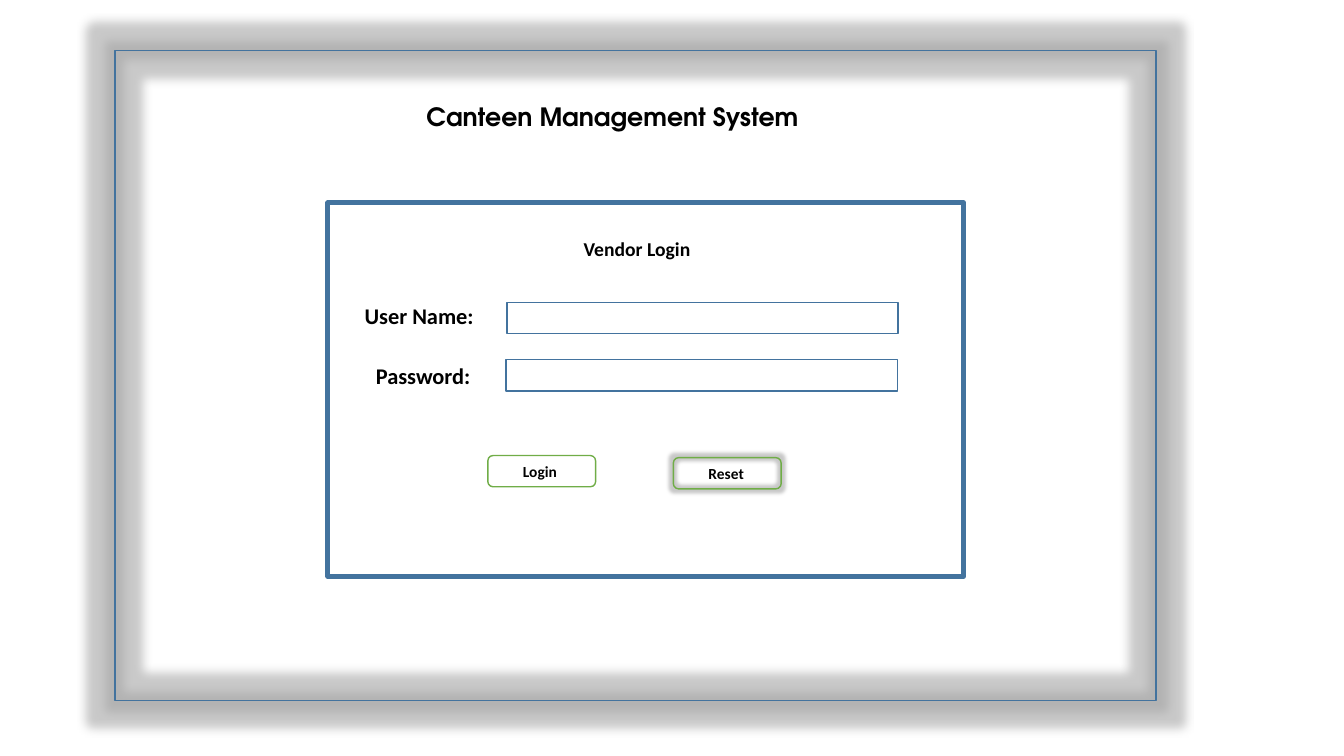
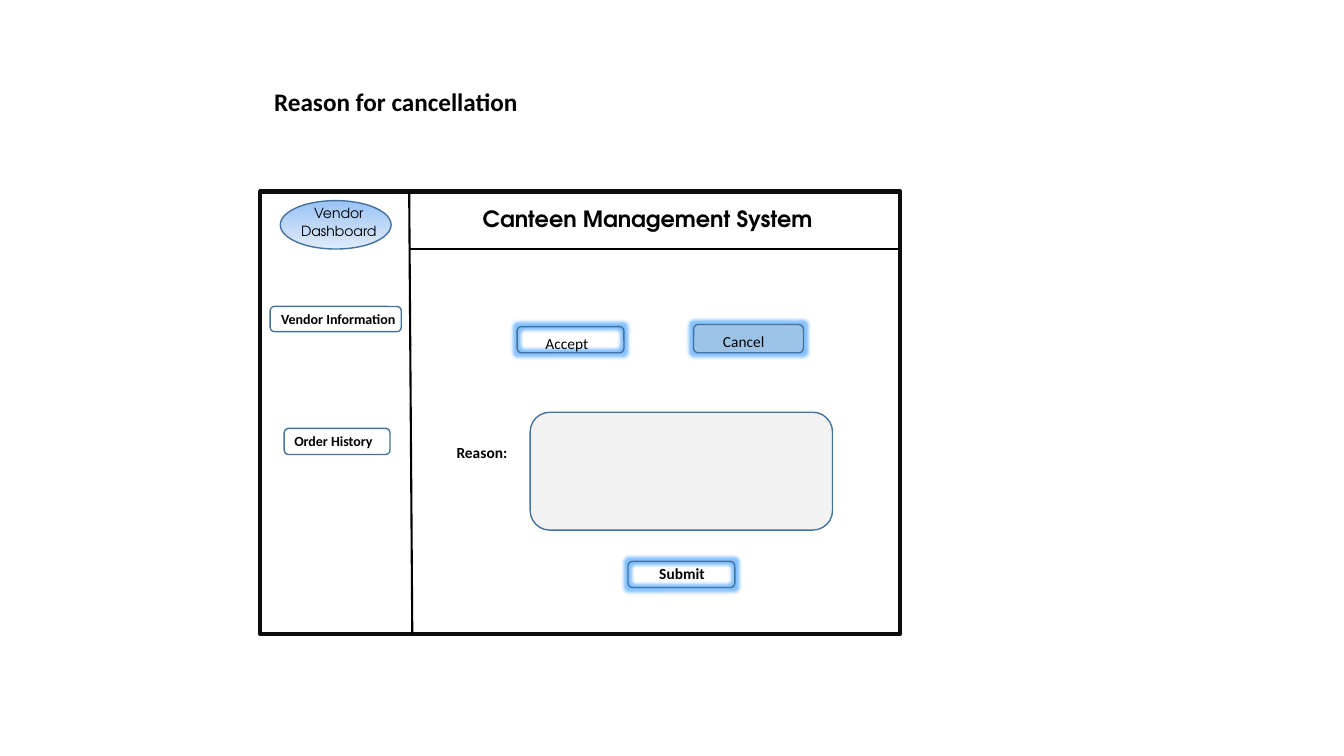
"""Build the login and cancellation wireframes of a canteen management system."""
from dataclasses import dataclass
from typing import Optional

from lxml import etree
from pptx import Presentation
from pptx.dml.color import RGBColor
from pptx.enum.shapes import MSO_CONNECTOR, MSO_SHAPE
from pptx.enum.text import MSO_ANCHOR, MSO_AUTO_SIZE, PP_ALIGN
from pptx.oxml.ns import qn
from pptx.util import Pt

RECTANGLE = MSO_SHAPE.RECTANGLE
ROUNDED = MSO_SHAPE.ROUNDED_RECTANGLE
OVAL = MSO_SHAPE.OVAL
STRAIGHT = MSO_CONNECTOR.STRAIGHT
TOP = MSO_ANCHOR.TOP
LEFT = PP_ALIGN.LEFT
CENTER = PP_ALIGN.CENTER
NO_AUTOFIT = MSO_AUTO_SIZE.NONE

COLORS = {
    "black": "000000",
    "border": "0D0D0D",
    "blue": "43739E",
    "green": "70AD47",
    "white": "FFFFFF",
    "pressed": "9DC3E6",
    "field": "F2F2F2",
    "gray_glow": "A5A5A5",
    "blue_glow": "3399FF",
    "oval_top": "9AC3F5",
    "oval_bottom": "E1EBFB",
}
BODY_FONT = "Calibri"
BRAND_FONT = "TeX Gyre Adventor"
SYSTEM_NAME = "Canteen Management System"
LINE_SPACING = 1.06
INSET_X, INSET_Y = 7.2, 3.6
TITLE_ONLY = 5


@dataclass(frozen=True)
class Style:
    size: float
    bold: bool = True
    font: str = BODY_FONT
    align: PP_ALIGN = LEFT


@dataclass(frozen=True)
class Label:
    text: str
    left: float
    top: float
    width: float
    height: float
    style: Style


@dataclass(frozen=True)
class Panel:
    left: float
    top: float
    width: float
    height: float
    line: str = "blue"
    weight: float = 1
    kind: MSO_SHAPE = RECTANGLE
    fill: Optional[str] = None
    glow: Optional[str] = None
    radius: float = 5


@dataclass(frozen=True)
class Button:
    panel: Panel
    text: str
    style: Style
    inset_left: float
    inset_top: float


TITLE = Style(18)
BRAND_TITLE = Style(18, font=BRAND_FONT)
BRAND_HEADING = Style(16, font=BRAND_FONT)
DASHBOARD = Style(10, False, BRAND_FONT, CENTER)
FORM_HEADING = Style(14, align=CENTER)
FIELD_NAME = Style(16)
MENU = Style(10)
ACTION = Style(11)
CHOICE = Style(11, False)


def color(name: str) -> RGBColor:
    return RGBColor.from_string(COLORS[name])


def write(box, text: str, style: Style, left: float = INSET_X,
          top: float = INSET_Y, right: float = INSET_X, bottom: float = INSET_Y) -> None:
    frame = box.text_frame
    frame.word_wrap = True
    frame.auto_size = NO_AUTOFIT
    frame.vertical_anchor = TOP
    frame.margin_left, frame.margin_top = Pt(left), Pt(top)
    frame.margin_right, frame.margin_bottom = Pt(right), Pt(bottom)
    para = frame.paragraphs[0]
    para.text = text
    para.alignment = style.align
    para.line_spacing = LINE_SPACING
    para.font.name = style.font
    para.font.size = Pt(style.size)
    para.font.bold = style.bold
    para.font.color.rgb = color("black")


def add_page(deck, title: Label):
    page = deck.slides.add_slide(deck.slide_layouts[TITLE_ONLY])
    box = page.shapes.title
    box.left, box.top = Pt(title.left), Pt(title.top)
    box.width, box.height = Pt(title.width), Pt(title.height)
    write(box, title.text, title.style)
    return page


def add_label(page, label: Label) -> None:
    box = page.shapes.add_textbox(Pt(label.left), Pt(label.top),
                                  Pt(label.width), Pt(label.height))
    write(box, label.text, label.style)


def add_panel(page, panel: Panel):
    box = page.shapes.add_shape(panel.kind, Pt(panel.left), Pt(panel.top),
                                Pt(panel.width), Pt(panel.height))
    box.shadow.inherit = False
    box.line.color.rgb = color(panel.line)
    box.line.width = Pt(panel.weight)
    if panel.fill:
        box.fill.solid()
        box.fill.fore_color.rgb = color(panel.fill)
    else:
        box.fill.background()
    if panel.glow:
        effects = box._element.spPr.find(qn("a:effectLst"))
        glow = etree.SubElement(effects, qn("a:glow"), rad=str(Pt(panel.radius)))
        tint = etree.SubElement(glow, qn("a:srgbClr"), val=COLORS[panel.glow])
        etree.SubElement(tint, qn("a:alpha"), val="60000")
    return box


def add_button(page, button: Button) -> None:
    box = add_panel(page, button.panel)
    write(box, button.text, button.style, button.inset_left, button.inset_top, 0, 0)


def add_divider(page, start: tuple[float, float], end: tuple[float, float]) -> None:
    line = page.shapes.add_connector(STRAIGHT, Pt(start[0]), Pt(start[1]),
                                     Pt(end[0]), Pt(end[1]))
    line.line.color.rgb = color("black")
    line.line.width = Pt(1.5)
    etree.SubElement(line._element.spPr, qn("a:effectLst"))


def build_login(deck) -> None:
    page = add_page(deck, Label(SYSTEM_NAME, 297.4, 67.7, 444, 30, BRAND_TITLE))
    for panel in (
        Panel(82.1, 36, 743.8, 464.4, glow="gray_glow", radius=13),
        Panel(234, 144.7, 454.3, 267.1, weight=3),
        Panel(362, 216, 279.4, 22.3),
        Panel(361.5, 257, 279.4, 22.3),
    ):
        add_panel(page, panel)
    for label in (
        Label("Vendor Login", 360.7, 164.9, 188.6, 33, FORM_HEADING),
        Label("User Name:", 253.4, 211, 94.3, 28.8, FIELD_NAME),
        Label("Password:", 261.4, 254.2, 88.6, 27.4, FIELD_NAME),
    ):
        add_label(page, label)
    for button in (
        Button(Panel(348.5, 325.4, 77, 22.3, "green", kind=ROUNDED, fill="white"),
               "Login", ACTION, 24, 2.5),
        Button(Panel(481, 326.9, 77, 22.3, "green", kind=ROUNDED, glow="gray_glow"),
               "Reset", ACTION, 24, 2.5),
    ):
        add_button(page, button)


def build_cancellation(deck) -> None:
    page = add_page(deck, Label("Reason for cancellation", 188.6, 56.9, 210, 30, TITLE))
    add_panel(page, Panel(185.8, 136.8, 457.2, 316.1, "border", 3))
    add_divider(page, (292.3, 136.8), (294.5, 452.2))
    add_divider(page, (292.3, 177.8), (643, 177.8))

    oval = add_panel(page, Panel(200.2, 143.3, 79.2, 34.6, kind=OVAL))
    oval.fill.gradient()
    oval.fill.gradient_angle = 270
    for stop, name in zip(oval.fill.gradient_stops, ("oval_top", "oval_bottom")):
        stop.color.rgb = color(name)

    add_panel(page, Panel(378.7, 294.5, 216, 84.2, kind=ROUNDED, fill="field"))
    for label in (
        Label("Vendor\vDashboard", 200.2, 141.8, 83.5, 49.7, DASHBOARD),
        Label(SYSTEM_NAME, 337.7, 142, 290, 30, BRAND_HEADING),
        Label("Reason:", 319, 312.5, 63.4, 20.9, ACTION),
    ):
        add_label(page, label)
    for button in (
        Button(Panel(193, 218.9, 93.6, 18, kind=ROUNDED),
               "Vendor Information", MENU, 7, 1.3),
        Button(Panel(203, 306, 75.6, 18.7, kind=ROUNDED),
               "Order History", MENU, 6.3, 1.3),
        Button(Panel(369.4, 233.3, 76.3, 18.7, kind=ROUNDED, glow="blue_glow"),
               "Accept", CHOICE, 19.3, 3.4),
        Button(Panel(495.4, 231.8, 78.5, 20.2, kind=ROUNDED, fill="pressed",
                     glow="blue_glow"), "Cancel", CHOICE, 20, 3.4),
        Button(Panel(448.6, 401, 76.3, 18.7, kind=ROUNDED, glow="blue_glow"),
               "Submit", ACTION, 21.4, 0.5),
    ):
        add_button(page, button)


def main() -> None:
    deck = Presentation()
    deck.slide_width, deck.slide_height = Pt(960), Pt(540)
    build_login(deck)
    build_cancellation(deck)
    deck.save("out.pptx")


if __name__ == "__main__":
    main()
